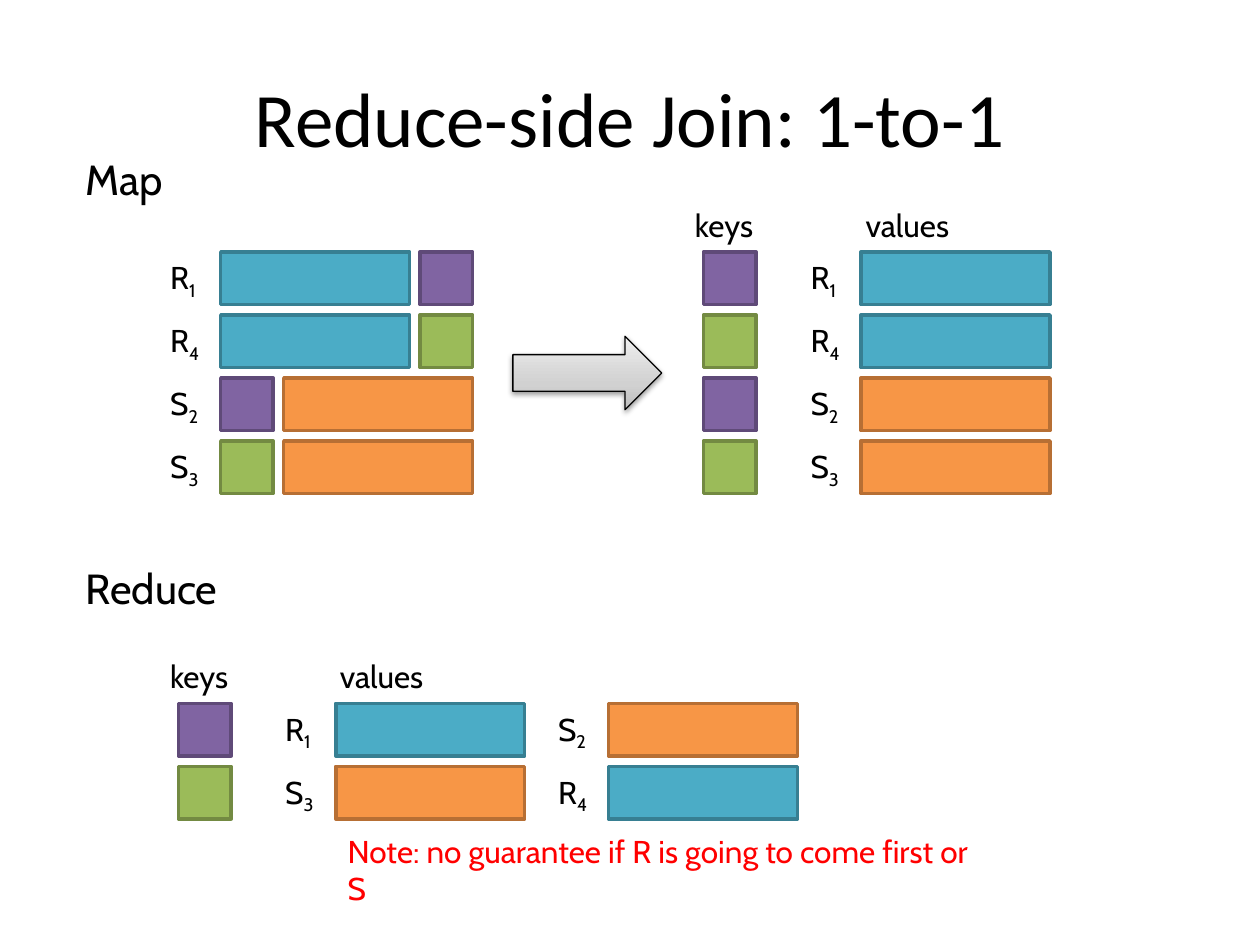
from copy import deepcopy

from lxml import etree
from pptx import Presentation
from pptx.dml.color import RGBColor
from pptx.enum.shapes import MSO_SHAPE
from pptx.enum.text import MSO_ANCHOR, MSO_AUTO_SIZE, PP_ALIGN
from pptx.oxml.ns import qn
from pptx.util import Cm, Pt

RECTANGLE, RIGHT_ARROW = MSO_SHAPE.RECTANGLE, MSO_SHAPE.RIGHT_ARROW
MIDDLE, CENTER = MSO_ANCHOR.MIDDLE, PP_ALIGN.CENTER
FIT_SHAPE = MSO_AUTO_SIZE.SHAPE_TO_FIT_TEXT

BLACK = RGBColor(0x00, 0x00, 0x00)
RED = RGBColor(0xFF, 0x00, 0x00)
# Fill and outline of each kind of box
BLUE = RGBColor(0x4B, 0xAC, 0xC6), RGBColor(0x37, 0x7F, 0x92)
ORANGE = RGBColor(0xF7, 0x96, 0x46), RGBColor(0xB7, 0x6F, 0x34)
PURPLE = RGBColor(0x80, 0x64, 0xA2), RGBColor(0x5F, 0x4A, 0x78)
GREEN = RGBColor(0x9B, 0xBB, 0x59), RGBColor(0x73, 0x8A, 0x42)
ARROW_STOPS = [
    (0, RGBColor(0xBD, 0xBD, 0xBD)),
    (0.35, RGBColor(0xD1, 0xD1, 0xD1)),
    (1, RGBColor(0xEE, 0xEE, 0xEE)),
]

# Grid, in centimetres
PITCH = 1.27
KEY_SIZE = 1.06
RECORD_WIDTH = 3.81
MAP_TOP, REDUCE_TOP = 5.08, 14.18
INPUT_LEFT = 4.45

presentation = Presentation()
presentation.slide_width = Cm(25.4)
presentation.slide_height = Cm(19.05)
slide = presentation.slides.add_slide(presentation.slide_layouts[5])


def add_text(text, left, top, width, height=1.03, size=18, color=BLACK,
             subscript="", wrap=False):
    box = slide.shapes.add_textbox(Cm(left), Cm(top), Cm(width), Cm(height))
    frame = box.text_frame
    frame.word_wrap = wrap
    frame.auto_size = FIT_SHAPE
    for part in filter(None, (text, subscript)):
        run = frame.paragraphs[0].add_run()
        run.text = part
        run.font.name = "Cabin"
        run.font.size = Pt(size)
        run.font.color.rgb = color
    if subscript:
        run.font._element.set("baseline", "-25000")


def add_box(left, top, colors, width=KEY_SIZE):
    box = slide.shapes.add_shape(RECTANGLE, Cm(left), Cm(top), Cm(width), Cm(KEY_SIZE))
    box.shadow.inherit = False
    box.fill.solid()
    box.fill.fore_color.rgb, box.line.color.rgb = colors
    box.line.width = Pt(2)


# Title
title = slide.shapes.title
title.left, title.top, title.width, title.height = Cm(1.27), Cm(0.76), Cm(22.86), Cm(3.18)
title.text_frame.text = "Reduce-side Join: 1-to-1"
title.text_frame.vertical_anchor = MIDDLE
paragraph = title.text_frame.paragraphs[0]
paragraph.alignment = CENTER
paragraph.font.name = "Calibri"
paragraph.font.size = Pt(44)
paragraph.font.color.rgb = BLACK

# Section and column headings
add_text("Map", 1.48, 2.96, 2.36, height=1.28, size=24)
add_text("Reduce", 1.48, 11.22, 3.5, height=1.28, size=24)
for keys_left, values_left, top in [(13.76, 17.2, 4.02), (3.18, 6.6, 13.12)]:
    add_text("keys", keys_left, top, 1.85)
    add_text("values", values_left, top, 2.41)

# Records: relation, number, left edge, top edge
records = []

# Map: input records on the left, key-value pairs on the right
map_rows = [("R", "1", PURPLE), ("R", "4", GREEN), ("S", "2", PURPLE), ("S", "3", GREEN)]
for row, (relation, number, key_colors) in enumerate(map_rows):
    top = MAP_TOP + row * PITCH
    if relation == "R":
        record_left, key_left = INPUT_LEFT, INPUT_LEFT + RECORD_WIDTH + 0.21
    else:
        record_left, key_left = INPUT_LEFT + PITCH, INPUT_LEFT
    add_box(key_left, top, key_colors)
    add_box(14.18, top, key_colors)
    records += [(relation, number, record_left, top), (relation, number, 17.36, top)]

# Reduce: values grouped by key
reduce_rows = [(PURPLE, ["R1", "S2"]), (GREEN, ["S3", "R4"])]
for row, (key_colors, names) in enumerate(reduce_rows):
    top = REDUCE_TOP + row * PITCH
    add_box(3.6, top, key_colors)
    for column, (relation, number) in enumerate(names):
        records.append((relation, number, 6.77 + column * 5.5, top))

# Record boxes with their labels
for relation, number, left, top in records:
    add_box(left, top, BLUE if relation == "R" else ORANGE, width=RECORD_WIDTH)
    label_left = min(left, INPUT_LEFT) if left < 6 else left
    add_text(relation, label_left - PITCH, top, 1.16 if relation == "R" else 1.11,
             subscript=number)

# Arrow with a grey gradient and a soft shadow
arrow = slide.shapes.add_shape(RIGHT_ARROW, Cm(10.34), Cm(6.78), Cm(3), Cm(1.48))
arrow.shadow.inherit = False
arrow.line.color.rgb = BLACK
arrow.line.width = Pt(0.75)
arrow.fill.gradient()
arrow.fill.gradient_angle = 90
properties = arrow._element.spPr
stop_list = properties.find(".//" + qn("a:gsLst"))
stop_list.append(deepcopy(stop_list[0]))
for stop, (position, color) in zip(arrow.fill.gradient_stops, ARROW_STOPS):
    stop.position = position
    stop.color.rgb = color
shadow = etree.SubElement(properties.find(qn("a:effectLst")), qn("a:outerShdw"),
                          blurRad=str(Pt(3.1)), dist=str(Pt(1.6)), dir="5400000",
                          rotWithShape="0")
shadow_color = etree.SubElement(shadow, qn("a:srgbClr"), val=str(BLACK))
etree.SubElement(shadow_color, qn("a:alpha"), val="38000")

# Note
add_text("Note: no guarantee if R is going to come first or S", 6.76, 16.64, 13.51,
         color=RED, wrap=True)

presentation.save("out.pptx")
